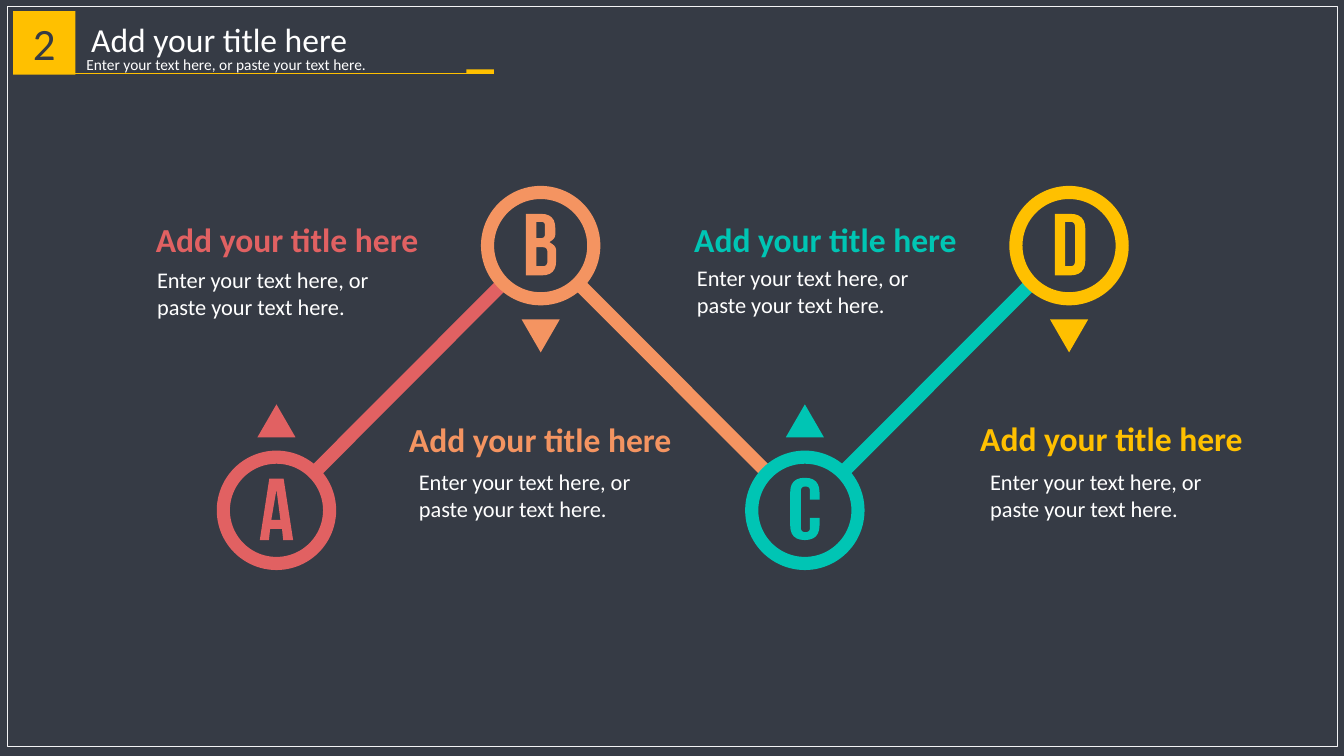
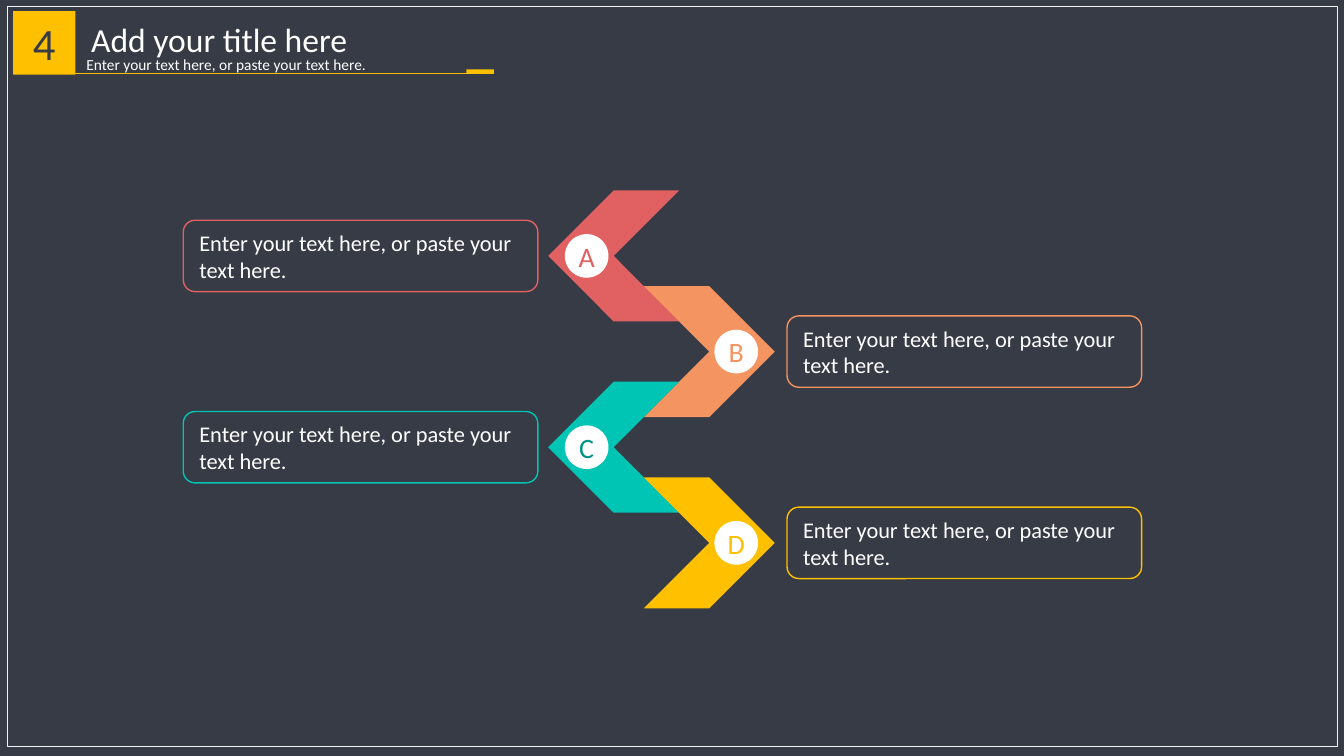
from lxml.etree import SubElement
from pptx import Presentation
from pptx.dml.color import RGBColor
from pptx.enum.shapes import MSO_CONNECTOR, MSO_SHAPE as SHAPE
from pptx.enum.text import MSO_ANCHOR as ANCHOR, PP_ALIGN as ALIGN
from pptx.oxml.ns import qn
from pptx.util import Cm, Pt

DARK = RGBColor(0x36, 0x3B, 0x45)
FRAME = RGBColor(0xF3, 0xF3, 0xF5)
WHITE = RGBColor(0xFF, 0xFF, 0xFF)
RED = RGBColor(0xE1, 0x61, 0x62)
ORANGE = RGBColor(0xF4, 0x94, 0x61)
TEAL = RGBColor(0x00, 0xC5, 0xB4)
DEEP_TEAL = RGBColor(0x00, 0x94, 0x87)
YELLOW = RGBColor(0xFF, 0xC0, 0x00)
COLORS = [RED, ORANGE, TEAL, YELLOW]

TITLE = "Add your title here"
BODY = "Enter your text here, or paste your text here."


def bowl(left, top, right, bottom, r):
    return [(left, top, 0), (right, top, r), (right, bottom, r), (left, bottom, 0)]


GLYPHS = {
    "A": [
        [(-0.18, -0.8, 0), (0.18, -0.8, 0), (0.42, 0.75, 0), (0.17, 0.75, 0),
         (0.14, 0.47, 0), (-0.16, 0.47, 0), (-0.19, 0.75, 0), (-0.42, 0.75, 0)],
        [(-0.13, 0.24, 0), (0.1, 0.24, 0), (0, -0.52, 0)],
    ],
    "B": [
        [(-0.37, -0.8, 0), (0.37, -0.8, 0.36), (0.37, -0.19, 0.1), (0.22, -0.09, 0),
         (0.39, 0.03, 0.1), (0.39, 0.75, 0.36), (-0.37, 0.75, 0)],
        bowl(-0.11, -0.6, 0.11, -0.19, 0.1),
        bowl(-0.11, 0.04, 0.17, 0.52, 0.12),
    ],
    "C": [
        [(0.37, 0.19, 0), (0.37, 0.75, 0.37), (-0.37, 0.75, 0.37), (-0.37, -0.82, 0.37),
         (0.37, -0.82, 0.37), (0.37, -0.27, 0), (0.13, -0.27, 0), (0.13, -0.6, 0.11),
         (-0.1, -0.6, 0.11), (-0.1, 0.55, 0.11), (0.13, 0.55, 0.11), (0.13, 0.19, 0)],
    ],
    "D": [
        bowl(-0.36, -0.8, 0.41, 0.75, 0.38),
        bowl(-0.1, -0.6, 0.15, 0.52, 0.12),
    ],
}


def toward(a, b, dist):
    dx, dy = b[0] - a[0], b[1] - a[1]
    k = dist / (dx * dx + dy * dy) ** 0.5
    return a[0] + dx * k, a[1] + dy * k


def rounded(corners, steps=6):
    points = []
    for i, (x, y, r) in enumerate(corners):
        if not r:
            points.append((x, y))
            continue
        a = toward((x, y), corners[i - 1], r)
        b = toward((x, y), corners[(i + 1) % len(corners)], r)
        for t in (n / steps for n in range(steps + 1)):
            u = 1 - t
            points.append(tuple(u * u * p + 2 * u * t * q + t * t * s
                                for p, q, s in zip(a, (x, y), b)))
    return points


class Deck:
    font = "Calibri"

    def __init__(self):
        self.prs = Presentation()
        self.prs.slide_width, self.prs.slide_height = Cm(33.88), Cm(19.05)
        self.s = None

    def slide(self, number):
        self.s = self.prs.slides.add_slide(self.prs.slide_layouts[6])
        fill = self.s.background.fill
        fill.solid()
        fill.fore_color.rgb = DARK
        self.shape(SHAPE.RECTANGLE, 0.19, 0.17, 33.53, 18.65, line=FRAME)
        sp = self.shape(SHAPE.RECTANGLE, 0.33, 0.28, 1.57, 1.6, YELLOW)
        self.label(sp, number, 32, DARK, ALIGN.CENTER, ANCHOR.MIDDLE)
        sp = self.text(1.73, 0.23, 7.59, 1.4, TITLE, 24, WHITE, ALIGN.CENTER, ANCHOR.MIDDLE)
        sp.text_frame.paragraphs[0].line_spacing = 1.1
        self.text(1.93, 1.27, 9.8, 0.7, BODY, 11)
        self.line(12.45, 1.85, 1.73, 1.85, YELLOW, 0.5)
        self.shape(SHAPE.RECTANGLE, 11.76, 1.75, 0.69, 0.1, YELLOW)

    def paint(self, sp, fill=None, line=None):
        sp.shadow.inherit = False
        if fill is None:
            sp.fill.background()
        else:
            sp.fill.solid()
            sp.fill.fore_color.rgb = fill
        if line is None:
            sp.line.fill.background()
        else:
            sp.line.color.rgb = line
            sp.line.width = Pt(1)
        return sp

    def shape(self, kind, x, y, w, h, fill=None, line=None):
        sp = self.s.shapes.add_shape(kind, Cm(x), Cm(y), Cm(w), Cm(h))
        return self.paint(sp, fill, line)

    def outline(self, contours, fill):
        builder = None
        for points in contours:
            pts = [(Cm(x), Cm(y)) for x, y in points]
            if builder is None:
                builder = self.s.shapes.build_freeform(*pts[0])
            else:
                builder.move_to(*pts[0])
            builder.add_line_segments(pts[1:], close=True)
        return self.paint(builder.convert_to_shape(), fill)

    def line(self, x1, y1, x2, y2, color, width):
        c = self.s.shapes.add_connector(MSO_CONNECTOR.STRAIGHT, Cm(x1), Cm(y1), Cm(x2), Cm(y2))
        c.line.color.rgb = color
        c.line.width = Pt(width)
        SubElement(c._element.spPr, qn("a:effectLst"))

    def label(self, sp, text, size, color=WHITE, align=ALIGN.LEFT, anchor=ANCHOR.TOP,
              bold=False, wrap=True):
        tf = sp.text_frame
        tf.text = text
        tf.word_wrap = wrap
        tf.vertical_anchor = anchor
        p = tf.paragraphs[0]
        p.alignment = align
        font = p.runs[0].font
        font.name, font.size, font.bold = self.font, Pt(size), bold
        font.color.rgb = color
        return tf

    def text(self, x, y, w, h, text, size, *style, **options):
        sp = self.s.shapes.add_textbox(Cm(x), Cm(y), Cm(w), Cm(h))
        self.label(sp, text, size, *style, **options)
        return sp

    def node(self, letter, x, y, color, up):
        d = 3.01
        sp = self.shape(SHAPE.DONUT, x - d / 2, y - d / 2, d, d, color)
        sp.adjustments[0] = 0.11
        self.outline([[(x + px, y + py) for px, py in rounded(c)] for c in GLYPHS[letter]], color)
        top = y - 2.67 if up else y + 1.86
        sp = self.shape(SHAPE.ISOSCELES_TRIANGLE, x - 0.48, top, 0.96, 0.83, color)
        sp.rotation = 0 if up else 180

    def chevron(self, letter, x, y, direction, color, ink):
        h = 1.65
        d = direction * h
        self.outline([[(x, y), (x + d, y), (x + 2 * d, y + h), (x + d, y + 2 * h),
                       (x, y + 2 * h), (x + d, y + h)]], color)
        size = 1.1
        cx = x + direction * 2.33
        sp = self.shape(SHAPE.OVAL, cx - size / 2, y + h - size / 2, size, size, WHITE)
        tf = self.label(sp, letter, 20, ink, ALIGN.CENTER, ANCHOR.MIDDLE)
        tf.margin_left = tf.margin_right = tf.margin_top = tf.margin_bottom = 0

    def card(self, x, y, color):
        sp = self.shape(SHAPE.ROUNDED_RECTANGLE, x, y, 8.94, 1.8, line=color)
        tf = self.label(sp, BODY, 16, anchor=ANCHOR.MIDDLE)
        tf.margin_left, tf.margin_right = Cm(0.32), Cm(0.46)
        tf.margin_top = tf.margin_bottom = 0


def zigzag(deck):
    deck.slide("2")
    nodes = [(6.97 + 6.66 * i, 6.19 if i % 2 else 12.86) for i in range(4)]
    for (x1, y1), (x2, y2), color in zip(nodes, nodes[1:], COLORS):
        dy = 0.95 if y2 > y1 else -0.95
        deck.line(x1 + 0.95, y1 + dy, x2 - 0.95, y2 - dy, color, 9.6)
    for i, (letter, (x, y), color) in enumerate(zip("ABCD", nodes, COLORS)):
        deck.node(letter, x, y, color, up=i % 2 == 0)
    captions = [((3.68, 5.38), (3.71, 6.58)), ((10.06, 10.44), (10.31, 11.68)),
                ((17.25, 5.38), (17.32, 6.53)), ((24.46, 10.41), (24.71, 11.68))]
    for (title_at, body_at), color in zip(captions, COLORS):
        deck.text(*title_at, 7.14, 1.27, TITLE, 24, color, bold=True, wrap=False)
        deck.text(*body_at, 6.65, 1.63, BODY, 16)


def chevrons(deck):
    deck.slide("4")
    inks = [RED, ORANGE, DEEP_TEAL, YELLOW]
    for i, (letter, color, ink) in enumerate(zip("ABCD", COLORS, inks)):
        y = 4.8 + 2.41 * i
        x, direction, card_x = (16.23, 1, 19.84) if i % 2 else (17.12, -1, 4.62)
        deck.chevron(letter, x, y, direction, color, ink)
        deck.card(card_x, y + 0.75, color)


def main():
    deck = Deck()
    zigzag(deck)
    chevrons(deck)
    deck.prs.save("out.pptx")


if __name__ == "__main__":
    main()
